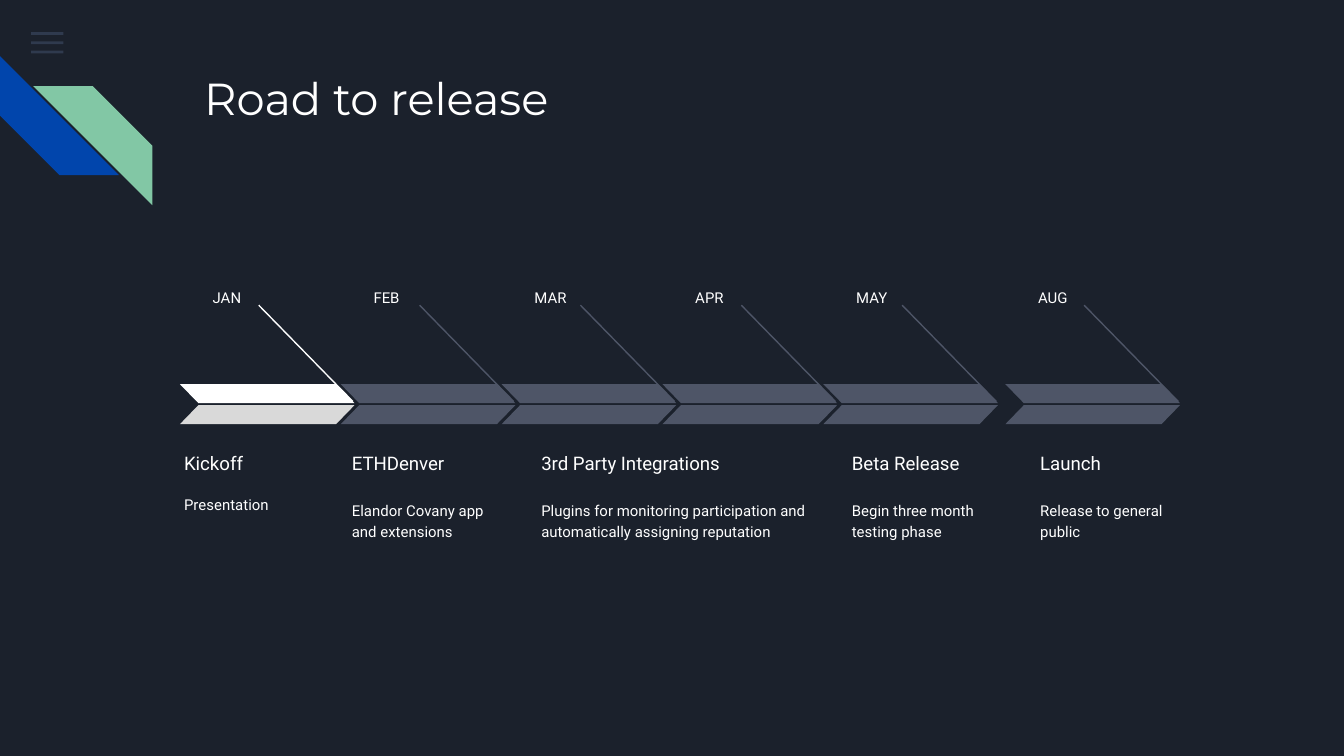
from dataclasses import dataclass

from lxml import etree
from pptx import Presentation
from pptx.dml.color import RGBColor
from pptx.enum.shapes import MSO_CONNECTOR, MSO_SHAPE
from pptx.enum.text import MSO_ANCHOR
from pptx.oxml.ns import qn
from pptx.util import Cm, Pt

RECTANGLE = MSO_SHAPE.RECTANGLE
STRIPE = MSO_SHAPE.DIAGONAL_STRIPE
PARALLELOGRAM = MSO_SHAPE.PARALLELOGRAM
STRAIGHT = MSO_CONNECTOR.STRAIGHT
TOP = MSO_ANCHOR.TOP
BOTTOM = MSO_ANCHOR.BOTTOM


@dataclass(frozen=True)
class Theme:
    """Colours, fonts and type sizes of the slide."""
    background: str = "1B212C"
    menu: str = "55688B"
    blue: str = "0145AC"
    green: str = "82C7A5"
    text: str = "FFFFFF"
    active: str = "FFFFFF"
    active_shade: str = "D9D9D9"
    inactive: str = "4E5567"
    title_font: str = "Montserrat"
    body_font: str = "Roboto"
    title_size: int = 24
    heading_size: int = 10
    body_size: int = 8


THEME = Theme()
MONTHS = ["JAN", "FEB", "MAR", "APR", "MAY", "AUG"]
TIMELINE_LEFT = 3.4
MONTH_STEP = 3.04
AUGUST_LEFT = 19.0
MILESTONES = [
    (3.23, 3.25, 3.25, "Kickoff", "Presentation", 1.0),
    (6.4, 3.15, 3.15, "ETHDenver", "Elandor Covany app and extensions", 1.15),
    (9.98, 4.45, 6.0, "3rd Party Integrations",
     "Plugins for monitoring participation and automatically assigning reputation", 1.15),
    (15.85, 3.15, 3.15, "Beta Release", "Begin three month testing phase", 1.15),
    (19.41, 3.15, 3.15, "Launch", "Release to general public", 1.15),
]


def add_filled(slide, kind, left, top, width, height, color, adjustment=None, flipped=False):
    """Add a preset shape with a plain fill and no outline."""
    shape = slide.shapes.add_shape(kind, Cm(left), Cm(top), Cm(width), Cm(height))
    shape.shadow.inherit = False
    shape.fill.solid()
    shape.fill.fore_color.rgb = RGBColor.from_string(color)
    shape.line.fill.background()
    if adjustment is not None:
        shape.adjustments[0] = adjustment
    if flipped:
        shape._element.spPr.find(qn("a:xfrm")).set("flipH", "1")
    return shape


def add_text(slide, left, top, width, height, text, size, font=THEME.body_font,
             anchor=TOP, line_spacing=1.0, space_after=0):
    """Add a wrapped text box with one paragraph."""
    frame = slide.shapes.add_textbox(Cm(left), Cm(top), Cm(width), Cm(height)).text_frame
    frame.word_wrap = True
    frame.vertical_anchor = anchor
    frame.margin_left = frame.margin_right = Cm(0.25)
    frame.margin_top = frame.margin_bottom = Cm(0.25)
    paragraph = frame.paragraphs[0]
    paragraph.line_spacing = line_spacing
    paragraph.space_after = Pt(space_after)
    run = paragraph.add_run()
    run.text = text
    run.font.size = Pt(size)
    run.font.name = font
    run.font.color.rgb = RGBColor.from_string(THEME.text)


def add_pointer(slide, start_x, start_y, end_x, end_y, color):
    """Add a thin straight line without a shadow."""
    line = slide.shapes.add_connector(STRAIGHT, Cm(start_x), Cm(start_y), Cm(end_x), Cm(end_y))
    line.line.color.rgb = RGBColor.from_string(color)
    line.line.width = Pt(0.75)
    etree.SubElement(line._element.spPr, qn("a:effectLst"))


def add_menu_icon(slide):
    """Add three translucent bars at the top left."""
    for row in range(3):
        bar = add_filled(slide, RECTANGLE, 0.59, 0.61 + 0.175 * row, 0.61, 0.05, THEME.menu)
        color = bar._element.spPr.find(qn("a:solidFill"))[0]
        etree.SubElement(color, qn("a:alpha")).set("val", "36000")


def add_stripes(slide):
    """Add the blue and green diagonal stripes."""
    blue = add_filled(slide, STRIPE, 0, 1.06, 2.25, 2.25, THEME.blue, 0.5)
    blue.rotation = 270
    add_filled(slide, STRIPE, 0.63, 1.63, 2.25, 2.25, THEME.green, 0.5, flipped=True)


def add_month(slide, left, name, upper_color, lower_color):
    """Add a month label, its pointer and its two-part chevron."""
    add_text(slide, left + 0.37, 5.28, 1.5, 0.58, name, THEME.body_size)
    add_pointer(slide, left + 1.49, 5.77, left + 3.27, 7.59, upper_color)
    add_filled(slide, PARALLELOGRAM, left, 7.26, 3.3, 0.36, upper_color, 0.97, flipped=True)
    add_filled(slide, PARALLELOGRAM, left, 7.66, 3.3, 0.36, lower_color, 0.97)


def add_milestone(slide, left, heading_width, body_width, heading, body, line_spacing):
    """Add a milestone heading with its description."""
    add_text(slide, left, 8.05, heading_width, 1.12, heading, THEME.heading_size, anchor=BOTTOM)
    add_text(slide, left, 9.19, body_width, 1.85, body, THEME.body_size,
             line_spacing=line_spacing, space_after=16)


def main():
    """Build and save the release timeline."""
    presentation = Presentation()
    presentation.slide_width = Cm(25.4)
    presentation.slide_height = Cm(14.29)
    slide = presentation.slides.add_slide(presentation.slide_layouts[6])
    slide.background.fill.solid()
    slide.background.fill.fore_color.rgb = RGBColor.from_string(THEME.background)
    add_menu_icon(slide)
    add_stripes(slide)
    add_text(slide, 3.61, 1.09, 19.56, 2.54, "Road to release", THEME.title_size, THEME.title_font)
    for index, name in enumerate(MONTHS):
        left = AUGUST_LEFT if name == "AUG" else TIMELINE_LEFT + MONTH_STEP * index
        upper = THEME.active if index == 0 else THEME.inactive
        lower = THEME.active_shade if index == 0 else THEME.inactive
        add_month(slide, left, name, upper, lower)
    for milestone in MILESTONES:
        add_milestone(slide, *milestone)
    presentation.save("out.pptx")


if __name__ == "__main__":
    main()
